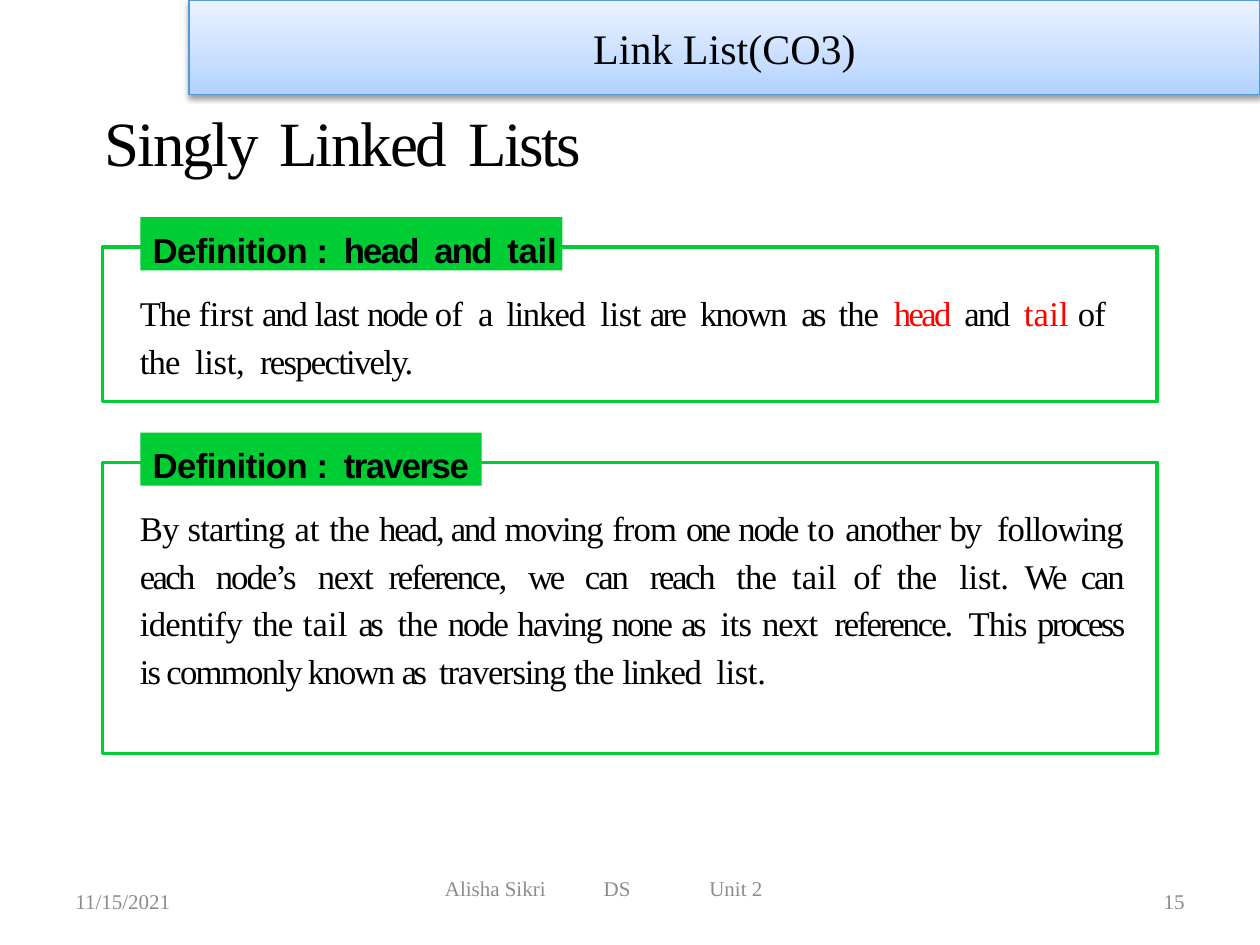
"""Build the slide that defines head, tail and traverse for singly linked lists."""
from copy import deepcopy

from lxml import etree
from pptx import Presentation
from pptx.dml.color import RGBColor
from pptx.enum.shapes import MSO_SHAPE
from pptx.enum.text import MSO_ANCHOR, PP_ALIGN
from pptx.oxml import parse_xml
from pptx.oxml.ns import nsdecls, qn
from pptx.util import Cm, Pt

RECTANGLE = MSO_SHAPE.RECTANGLE
TOP, MIDDLE = MSO_ANCHOR.TOP, MSO_ANCHOR.MIDDLE
LEFT, CENTER, RIGHT, JUSTIFY = PP_ALIGN.LEFT, PP_ALIGN.CENTER, PP_ALIGN.RIGHT, PP_ALIGN.JUSTIFY
COLORS = {"black": "000000", "white": "FFFFFF", "green": "00CC33", "red": "FF0000",
          "gray": "8C8C8C", "header line": "5698D3"}
HEADER_STOPS = [(0, "B0D2FF"), (0.35, "C7DEFF"), (1, "EAF2FF")]
SERIF, SANS = "Times New Roman", "Arial"
WIDE_MARK, WIDE_EXTRA = "_", 4
WORDS_BY_SPACING = {
    -2.1: "as", -1.9: "we", -1.6: "a", -1.5: "are head one each We process",
    -1.3: "reach", -1.2: "and node head, reference, can none reference. by",
    -1.1: "node’s", -1: "known respectively. having is\u00a0commonly",
    -0.8: "linked moving another", -0.7: "The next traversing", -0.6: "last following",
    -0.5: "the By starting from This", -0.4: "of identify", -0.3: "its",
    -0.2: "list list, list.", -0.1: "first at", 0.1: "tail", 0.2: "to",
}
SPACING = {word: value for value, words in WORDS_BY_SPACING.items() for word in words.split(" ")}

DEFINITIONS = [
    {"top": 4.98, "height": 3.12, "label width": 8.51, "body height": 1.93,
     "label": [("head_", -1), ("and_", -1), ("tail", -0.1)], "align": LEFT,
     "red": {"head", "tail"},
     "body": "The first and last node of_ a_ linked_ list are_ known_ as_ the_ head_ and_ tail of "
             "the_ list,_ respectively."},
    {"top": 9.32, "height": 5.87, "label width": 6.88, "body height": 3.96,
     "label": [("traverse", -0.8)], "align": JUSTIFY, "red": set(),
     "body": "By starting at the head, and moving from one node to another by_ following "
             "each_ node’s_ next reference,_ we_ can_ reach_ the tail of the_ list. We can "
             "identify the tail as_ the node having none as_ its next_ reference._ This process "
             "is\u00a0commonly known as_ traversing the linked_ list."},
]
FOOTERS = [
    (1.27, 5.92, "11/15/2021", LEFT, MIDDLE),
    (8.72, 8.05, "Alisha Sikri\tDS\tUnit 2", LEFT, TOP),
    (18.21, 5.92, "15", RIGHT, MIDDLE),
]


def write(shape, parts, size, font=SERIF, align=LEFT, anchor=TOP, margins=(0.05, 0.05, 0, 0)):
    frame = shape.text_frame
    frame.word_wrap = True
    frame.vertical_anchor = anchor
    frame.margin_left, frame.margin_top, frame.margin_right, frame.margin_bottom = map(Cm, margins)
    paragraph = frame.paragraphs[0]
    paragraph.alignment = align
    for part, spacing, color in parts:
        pieces = [(part.rstrip(WIDE_MARK), spacing)]
        if part.endswith(WIDE_MARK):
            pieces.append((" ", spacing + WIDE_EXTRA))
        for text, piece_spacing in pieces:
            run = paragraph.add_run()
            run.text = text
            run.font.size = Pt(size)
            run.font.name = font
            run.font.bold = font == SANS
            run.font.color.rgb = RGBColor.from_string(COLORS[color])
            if piece_spacing:
                run._r.get_or_add_rPr().set("spc", str(round(piece_spacing * 100)))
    return paragraph


def add_rectangle(left, top, width, height, fill=None, line=None, line_width=2):
    shape = slide.shapes.add_shape(RECTANGLE, Cm(left), Cm(top), Cm(width), Cm(height))
    shape.shadow.inherit = False
    if fill:
        shape.fill.solid()
        shape.fill.fore_color.rgb = RGBColor.from_string(COLORS[fill])
    if line:
        shape.line.color.rgb = RGBColor.from_string(COLORS[line])
        shape.line.width = Pt(line_width)
    else:
        shape.line.fill.background()
    return shape


presentation = Presentation()
presentation.slide_width, presentation.slide_height = Cm(25.4), Cm(19.05)
slide = presentation.slides.add_slide(presentation.slide_layouts[6])

title = slide.shapes.add_textbox(Cm(2.06), Cm(2.03), Cm(16.1), Cm(1.6))
title_parts = [("Singly_", -1.2, "black"), ("Linked_", -1.2, "black"), ("Lists", -1.4, "black")]
write(title, title_parts, 36, anchor=MIDDLE).space_before = Pt(1.9)

for definition in DEFINITIONS:
    top = definition["top"]
    add_rectangle(2.07, top, 21.26, definition["height"], "white", "green")

    label = add_rectangle(2.83, top - 0.6, definition["label width"], 1.07, "green")
    label_parts = [("Definition ", -0.3), (":_", -0.6)] + definition["label"]
    label_parts = [(text, spacing, "black") for text, spacing in label_parts]
    paragraph = write(label, label_parts, 19.8, SANS, margins=(0.25, 0.23, 0, 0))
    paragraph.space_before = Pt(6.4)

    body = slide.shapes.add_textbox(Cm(2.77), Cm(top + 0.74), Cm(19.86),
                                    Cm(definition["body height"]))
    words = definition["body"].split(" ")
    body_parts = []
    for position, marked_word in enumerate(words, 1):
        word = marked_word.rstrip(WIDE_MARK)
        narrow_gap = word == marked_word and position < len(words)
        color = "red" if word in definition["red"] else "black"
        body_parts.append((marked_word + " " * narrow_gap, SPACING[word], color))
    paragraph = write(body, body_parts, 19.8, align=definition["align"])
    paragraph.line_spacing = 1.14
    paragraph.space_before = Pt(2)

header = add_rectangle(3.81, 0, 21.59, 1.91, line="header line", line_width=0.75)
header.fill.gradient()
header.fill.gradient_angle = 90
stop_list = header._element.spPr.find(qn("a:gradFill")).find(qn("a:gsLst"))
stop_list.append(deepcopy(stop_list[0]))
for stop, (position, color) in zip(header.fill.gradient_stops, HEADER_STOPS):
    stop.position = position
    stop.color.rgb = RGBColor.from_string(color)
effects = header._element.spPr.find(qn("a:effectLst"))
effects.append(parse_xml(
    f'<a:outerShdw {nsdecls("a")} blurRad="40000" dist="20000" dir="5400000" rotWithShape="0">'
    '<a:srgbClr val="000000"><a:alpha val="38000"/></a:srgbClr></a:outerShdw>'))
write(header, [("Link List(CO3)", 0, "black")], 24, align=CENTER, anchor=MIDDLE,
      margins=(0.25, 0.13, 0.25, 0.13))

for left, width, text, align, anchor in FOOTERS:
    footer = slide.shapes.add_textbox(Cm(left), Cm(17.65), Cm(width), Cm(1.02))
    paragraph = write(footer, [(text, 0, "gray")], 12, align=align, anchor=anchor,
                      margins=(0.25, 0, 0.25, 0))
    if "\t" in text:
        tabs = etree.SubElement(paragraph._p.get_or_add_pPr(), qn("a:tabLst"))
        for position in (3.2, 5.33):
            etree.SubElement(tabs, qn("a:tab"), pos=str(Cm(position)), algn="l")

presentation.save("out.pptx")
